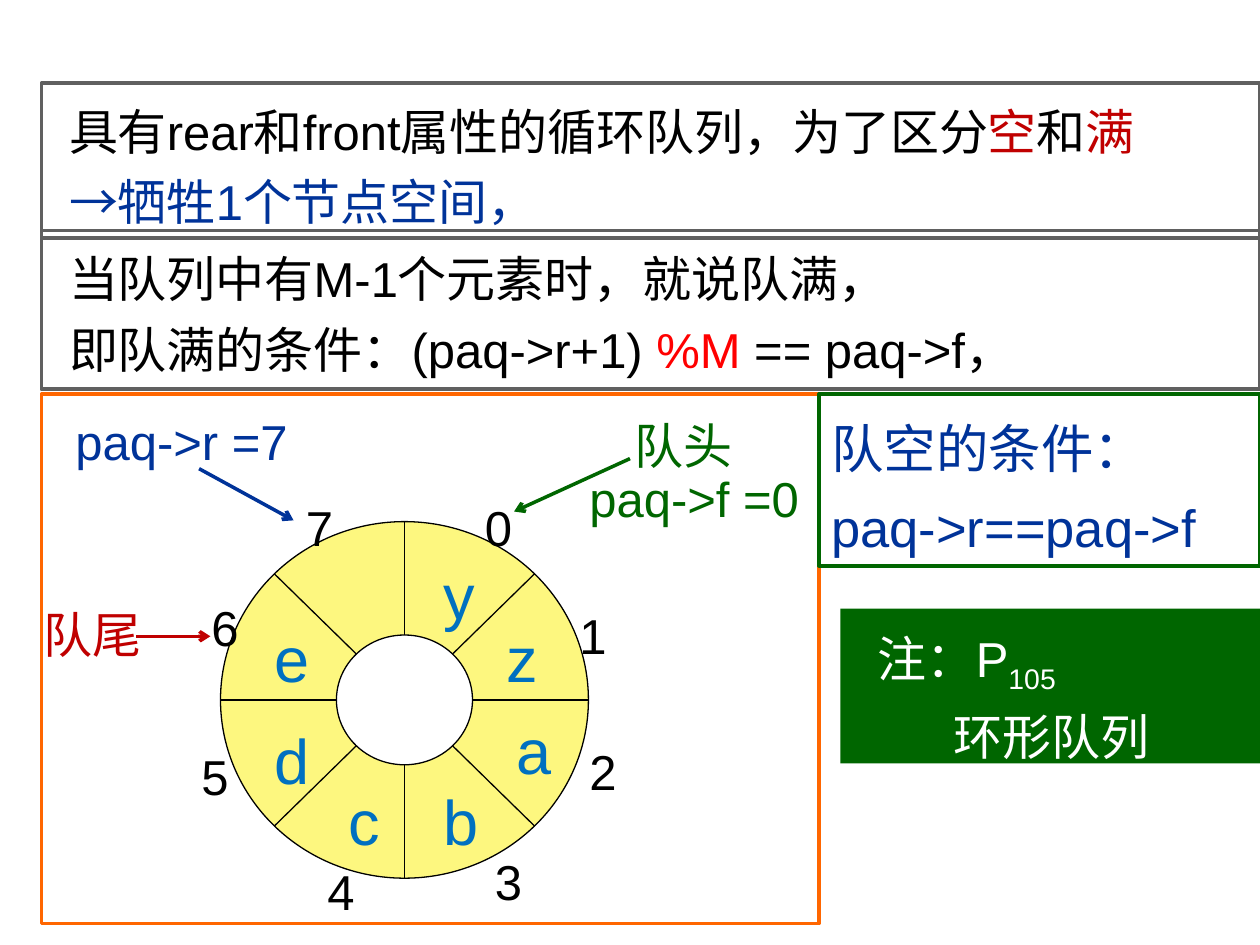
from math import cos, pi, sin

from pptx import Presentation
from pptx.dml.color import RGBColor
from pptx.enum.shapes import MSO_CONNECTOR, MSO_SHAPE
from pptx.enum.text import MSO_ANCHOR, MSO_AUTO_SIZE, PP_ALIGN
from pptx.oxml.ns import qn
from pptx.util import Inches, Pt

BLACK, WHITE, GRAY = "000000", "FFFFFF", "606060"
BLUE, GREEN, RED, ORANGE = "003399", "006600", "C00000", "FF6600"
LETTER, YELLOW = "0070C0", "FDF77F"

RULES = [
    ((0.33, 0.66, 9.67, 1.23), [
        [("具有rear和front属性的循环队列，为了区分", BLACK), ("空", RED), ("和", BLACK), ("满", RED)],
        [("→牺牲1个节点空间，", BLUE)],
    ]),
    ((0.33, 1.83, 9.67, 1.26), [
        [("当队列中有M-1个元素时，就说队满，", BLACK)],
        [("即队满的条件：(paq->r+1) ", BLACK), ("%M ", "FF0000"), ("== paq->f，", BLACK)],
    ]),
]
RING_FRAME = (0.33, 3.13, 6.17, 4.2)
EMPTY_BOX = (6.5, 3.13, 3.5, 1.36)
EMPTY_TEXT = [[("队空的条件：", BLUE)], [("paq->r==paq->f", BLUE)]]
NOTE_BOX = (6.67, 4.83, 3.33, 1.23)
NOTE_TEXT = [[("注：P", WHITE), ("105", WHITE, -25)], [("环形队列", WHITE)]]

CENTER = (3.21, 5.555)
OUTER = (1.46, 1.415)
INNER = (0.54, 0.515)
SLOTS = 8

INDEXES = [("0", 3.75, 3.78), ("1", 4.5, 4.64), ("2", 4.58, 5.72), ("3", 3.83, 6.59),
           ("4", 2.5, 6.67), ("5", 1.5, 5.76), ("6", 1.58, 4.58), ("7", 2.33, 3.78)]
ELEMENTS = [("y", 3.42, 4.22), ("z", 3.92, 4.72), ("a", 4, 5.45), ("b", 3.42, 6.01),
            ("c", 2.67, 6.01), ("d", 2.08, 5.53), ("e", 2.08, 4.72)]
POINTERS = [
    ((0.5, 3.27, 1.92, 0.53), ["paq->r =7"], BLUE, (0,), (1.58, 3.72), (2.33, 4.13)),
    ((4.58, 3.3, 2.17, 0.95), ["队头", "paq->f =0"], GREEN, (0.36, 0), (5, 3.64), (4.08, 4.06)),
    ((0.25, 4.8, 1.08, 0.53), ["队尾"], RED, (0,), (1.08, 5.05), (1.67, 5.05)),
]


def rgb(color):
    return RGBColor.from_string(color)


def write(sp, lines, size, spacing, indents=(0, 0)):
    tf = sp.text_frame
    tf.word_wrap = True
    tf.auto_size = MSO_AUTO_SIZE.SHAPE_TO_FIT_TEXT
    tf.vertical_anchor = MSO_ANCHOR.TOP
    for i, (runs, indent) in enumerate(zip(lines, indents)):
        p = tf.paragraphs[0] if i == 0 else tf.add_paragraph()
        p.alignment = PP_ALIGN.LEFT
        p.line_spacing = spacing
        p._p.get_or_add_pPr().set("marL", str(Inches(indent)))
        for text, color, *baseline in runs:
            r = p.add_run()
            r.text = text
            r.font.name = "Arial"
            r.font.size = Pt(size)
            r.font.color.rgb = rgb(color)
            if baseline:
                r._r.get_or_add_rPr().set("baseline", str(baseline[0] * 1000))


def add_shape(s, box, fill=None, line=None, width=2.25, kind=MSO_SHAPE.RECTANGLE):
    sp = s.shapes.add_shape(kind, *map(Inches, box))
    sp.shadow.inherit = False
    if fill:
        sp.fill.solid()
        sp.fill.fore_color.rgb = rgb(fill)
    else:
        sp.fill.background()
    if line:
        sp.line.color.rgb = rgb(line)
        sp.line.width = Pt(width)
    else:
        sp.line.fill.background()
    return sp


def add_text(s, box, lines, size, spacing, indents=(0, 0)):
    write(s.shapes.add_textbox(*map(Inches, box)), lines, size, spacing, indents)


def add_line(s, start, end, color, width, arrow=False):
    c = s.shapes.add_connector(MSO_CONNECTOR.STRAIGHT, *map(Inches, start + end))
    c.line.color.rgb = rgb(color)
    c.line.width = Pt(width)
    if arrow:
        ln = c.line._get_or_add_ln()
        ln.append(ln.makeelement(qn("a:tailEnd"), {"type": "arrow"}))
    spPr = c._element.spPr
    spPr.append(spPr.makeelement(qn("a:effectLst"), {}))


def ring_point(radii, angle):
    return (CENTER[0] + radii[0] * cos(angle), CENTER[1] + radii[1] * sin(angle))


def add_ring(s):
    for radii, fill in ((OUTER, YELLOW), (INNER, WHITE)):
        box = (CENTER[0] - radii[0], CENTER[1] - radii[1], 2 * radii[0], 2 * radii[1])
        add_shape(s, box, fill, BLACK, 0.75, MSO_SHAPE.OVAL)
    for i in range(SLOTS):
        angle = 2 * pi * i / SLOTS
        add_line(s, ring_point(OUTER, angle), ring_point(INNER, angle), BLACK, 0.75)
    for text, x, y in INDEXES:
        add_text(s, (x, y, 0.5, 0.63), [[(text, BLACK)]], 28, 1.25)
    for text, x, y in ELEMENTS:
        add_text(s, (x, y, 0.75, 0.86), [[(text, LETTER)]], 36, 1.25)


def main():
    prs = Presentation()
    prs.slide_width, prs.slide_height = Inches(10), Inches(7.5)
    s = prs.slides.add_slide(prs.slide_layouts[6])
    for box, lines in RULES:
        write(add_shape(s, box, line=GRAY), lines, 28, 1.2, (0.12, 0.12))
    add_shape(s, RING_FRAME, line=ORANGE)
    add_ring(s)
    for box, texts, color, indents, start, end in POINTERS:
        add_text(s, box, [[(text, color)] for text in texts], 28, 0.9, indents)
        add_line(s, start, end, color, 2, arrow=True)
    write(add_shape(s, EMPTY_BOX, line=GREEN), EMPTY_TEXT, 30, 1.25)
    write(add_shape(s, NOTE_BOX, fill=GREEN), NOTE_TEXT, 28, 1.2, (0.2, 0.8))
    prs.save("out.pptx")


if __name__ == "__main__":
    main()
